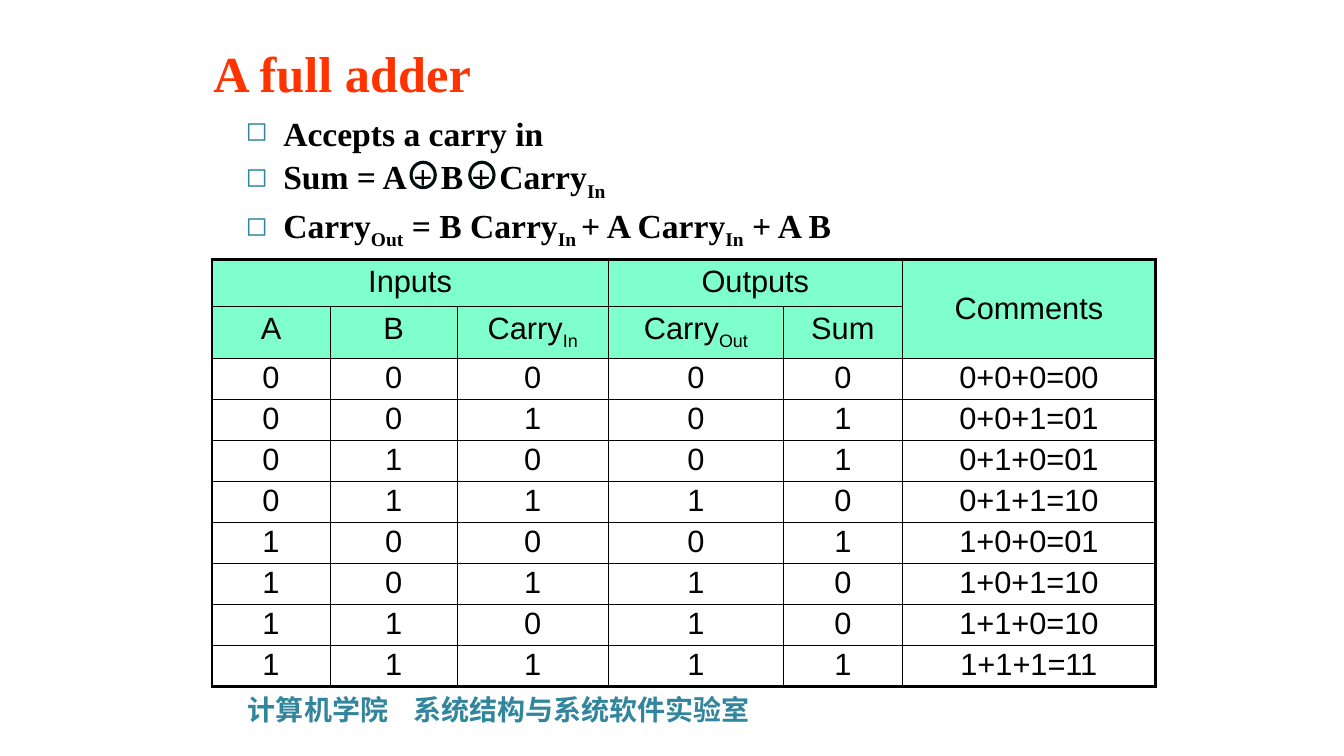
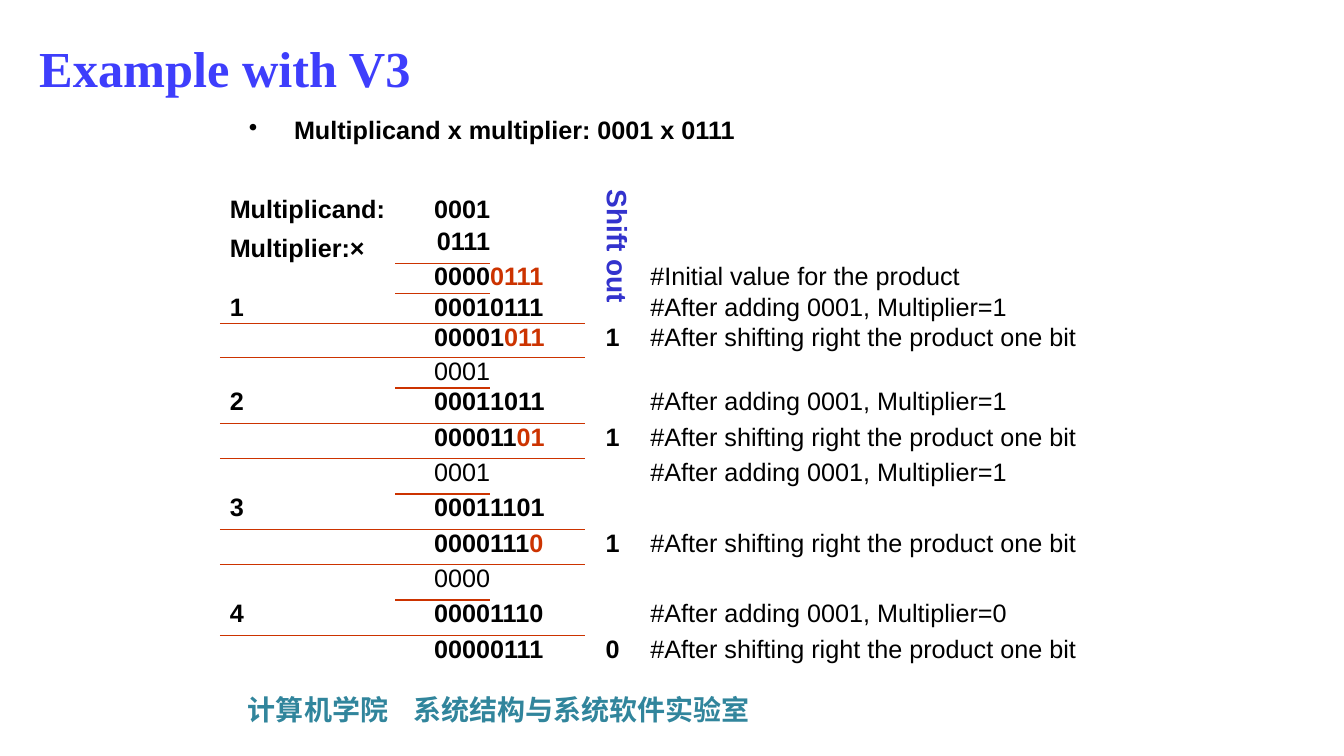
import pptx
import pptx.util
import pptx.dml.color
import pptx.enum.shapes
import pptx.enum.text
import pptx.oxml
import pptx.oxml.ns
from lxml import etree

Cm, Pt = pptx.util.Cm, pptx.util.Pt
qn = pptx.oxml.ns.qn
MID = pptx.enum.text.MSO_ANCHOR.MIDDLE
TOP = pptx.enum.text.MSO_ANCHOR.TOP
LOW = pptx.enum.text.MSO_ANCHOR.BOTTOM
ALIGN = pptx.enum.text.PP_ALIGN
SERIF, SANS, HAN = "Times New Roman", "Arial", "Noto Sans CJK SC"
BLACK, TEAL, RUST = "000000", "31859C", "CC3300"
PLAIN = "{2D5ABB26-0587-4C30-8999-92F81FD0307C}"


def hue(code):
    return pptx.dml.color.RGBColor.from_string(code)


def write(frame, text, size=18, color=BLACK, face=SANS, bold=False,
          align=ALIGN.LEFT, alt=None, mark=None, tint=BLACK, scale=100,
          hang=0, gap=0, line=None, tab=None):
    """Fill a frame; newlines part paragraphs, bars enclose the alt style."""
    alt = alt or {}
    for i, part in enumerate(text.split("\n")):
        para = frame.add_paragraph() if i else frame.paragraphs[0]
        para.alignment, para.space_before = align, Pt(gap)
        if line:
            para.line_spacing = line
        props = para._p.get_or_add_pPr()
        if mark:
            props.set("marL", str(Cm(hang)))
            props.set("indent", str(-Cm(hang)))
            ink = etree.SubElement(props, qn("a:buClr"))
            etree.SubElement(ink, qn("a:srgbClr"), val=tint)
            etree.SubElement(props, qn("a:buSzPct"), val=str(scale * 1000))
            etree.SubElement(props, qn("a:buChar"), char=mark)
        if tab:
            stops = etree.SubElement(props, qn("a:tabLst"))
            etree.SubElement(stops, qn("a:tab"), pos=str(Cm(tab)), algn="l")
        for n, piece in enumerate(part.split("|")):
            if not piece:
                continue
            look = alt if n % 2 else {}
            run = para.add_run()
            run.text = piece
            font = run.font
            font.size, font.bold, font.name = Pt(size), bold, face
            font.color.rgb = hue(look.get("color", color))
            etree.SubElement(font._element, qn("a:ea"), typeface=face)
            if "base" in look:
                font._element.set("baseline", str(look["base"] * 1000))


deck = pptx.Presentation()
deck.slide_width, deck.slide_height = Cm(33.87), Cm(19.05)
adder, steps = [deck.slides.add_slide(deck.slide_layouts[6]) for _ in range(2)]

SUB = dict(base=-25)
HEAD = dict(size=36, face=SERIF, bold=True)
FOOT = dict(size=20, face=HAN, color=TEAL, bold=True, tab=4.17)

# Example text, in a clear rounded panel
panel = steps.shapes.add_shape(
    pptx.enum.shapes.MSO_SHAPE.ROUNDED_RECTANGLE,
    Cm(5.51), Cm(2.34), Cm(23.29), Cm(13.97))
panel.adjustments[0] = 0.125
panel.shadow.inherit = False
panel.fill.background()
panel.line.fill.background()
panel.text_frame.vertical_anchor = TOP
write(panel.text_frame, "Multiplicand x multiplier: 0001 x 0111", bold=True,
      mark="•", hang=1.14, line=0.9)

# Text boxes: slide, place, anchor, turn, text, format
boxes = [(page, (6, 17.32, 24.54, 1.12), TOP, 0,
          "计算机学院\t系统结构与系统软件实验室", FOOT) for page in (adder, steps)]
boxes += [
    (adder, (5.13, 1.12, 21.41, 1.42), MID, 0, "A full adder",
     dict(HEAD, color="FF3300")),
    (steps, (0.74, 0.99, 23.72, 1.42), MID, 0, "Example with V3",
     dict(HEAD, color="3E3EFC")),
    (adder, (5.94, 2.72, 21.44, 3.81), TOP, 0,
     "Accepts a carry in\nSum = A + B + Carry|In|\n"
     "Carry|Out| = B Carry|In |+ A Carry|In| + A B",
     dict(size=24, face=SERIF, bold=True, alt=SUB, mark="◻", tint=TEAL,
          scale=80, hang=0.95, gap=2)),
    (steps, (13.84, 5.72, 3.48, 1.09), TOP, 90, "Shift out",
     dict(size=20, color="3333CD", bold=True)),
]
for page, place, anchor, turn, text, form in boxes:
    box = page.shapes.add_textbox(*map(Cm, place))
    box.rotation = turn
    box.text_frame.word_wrap = True
    box.text_frame.vertical_anchor = anchor
    write(box.text_frame, text, **form)

# Rings that turn each plus into an exclusive or
for left in (10.36, 11.84):
    ring = adder.shapes.add_shape(pptx.enum.shapes.MSO_SHAPE.OVAL,
                                  Cm(left), Cm(4.09), Cm(0.61), Cm(0.64))
    ring.shadow.inherit = False
    ring.fill.background()
    ring.line.color.rgb, ring.line.width = hue("001010"), Pt(2.25)

# Truth table: all eight inputs, with carry and sum worked out
truth = [["Inputs", "", "", "Outputs", "", "Comments"],
         ["A", "B", "Carry|In|", "Carry|Out|", "Sum", ""]]
for n in range(8):
    bits = f"{n:03b}"
    total = f"{bits.count('1'):02b}"
    truth.append([*bits, *total, "+".join(bits) + "=" + total])

# Multiplication: step, product halves, bit shifted out, note
ADD = "#After adding 0001, Multiplier="
SHIFT = "#After shifting right the product one bit"
work = [
    ["Multiplicand:", "0001", "", "", ""],
    ["Multiplier:×", "0111", "", "", ""],
    ["", "0000", "|0111|", "", "#Initial value for the product"],
    ["1", "0001", "0111", "", ADD + "1"],
    ["", "0000", "1|011|", "1", SHIFT],
    ["", "0001", "", "", ""],
    ["2", "0001", "1011", "", ADD + "1"],
    ["", "0000", "11|01|", "1", SHIFT],
    ["", "0001", "", "", ADD + "1"],
    ["3", "0001", "1101", "", ""],
    ["", "0000", "111|0|", "1", SHIFT],
    ["", "0000", "", "", ""],
    ["4", "0000", "1110", "", ADD + "0"],
    ["", "0000", "0111", "0", SHIFT],
]

# Both grids: slide, corner, rows, column widths, row heights
grids = []
for page, left, top, rows, wide, high in (
        (adder, 5.34, 6.53, truth, (2.98, 3.2, 3.81, 4.41, 3, 6.38),
         [1.17, 1.22] + [1.03] * 8),
        (steps, 5.54, 4.93, work, (4.42, 2.39, 2.39, 1.4, 12.5),
         [0.81, 0.89, 0.76, 0.76, 0.86, 0.76] + [0.89] * 8)):
    grid = page.shapes.add_table(len(rows), len(wide), Cm(left), Cm(top),
                                 Cm(sum(wide)), Cm(sum(high))).table
    grid.first_row = grid.horz_banding = False
    grid._tbl.tblPr.find(qn("a:tableStyleId")).text = PLAIN
    for col, size in zip(grid.columns, wide):
        col.width = Cm(size)
    for row, size in zip(grid.rows, high):
        row.height = Cm(size)
    grids.append(grid)
chart, sums = grids

# Cell text; skins collect cell, line colour, line widths, fill
skins = []
for r, row in enumerate(truth):
    for c, text in enumerate(row):
        cell = chart.cell(r, c)
        cell.margin_top = cell.margin_bottom = Cm(0.13 if r < 2 else 0.05)
        write(cell.text_frame, text, size=22, align=ALIGN.CENTER, alt=SUB)
        ends = dict(L=c == 0, R=c == 5, T=r == 0, B=r == 9)
        skins.append((cell, BLACK,
                      {k: 2.25 if end else 1 for k, end in ends.items()},
                      "00FF99" if r < 2 else None))
for first, last in (((0, 0), (0, 2)), ((0, 3), (0, 4)), ((0, 5), (1, 5))):
    chart.cell(*first).merge(chart.cell(*last))
chart.cell(0, 5).vertical_anchor = MID

short, full = (1, 5, 8, 11), (3, 6, 9, 12)
sides = {1: ALIGN.RIGHT, 3: ALIGN.CENTER}
for r, row in enumerate(work):
    for c, text in enumerate(row):
        cell = sums.cell(r, c)
        cell.margin_top = cell.margin_bottom = 0
        cell.margin_left = cell.margin_right = Cm(0 if c in (1, 2) else 0.25)
        write(cell.text_frame, text, align=sides.get(c, ALIGN.LEFT),
              bold=c < 4 and r not in short[1:], alt=dict(color=RUST))
        edges = {k: 1 for k, n in (("T", r - 1), ("B", r))
                 if c < 3 and n in full or c == 1 and n in short}
        skins.append((cell, RUST, edges, None))
sums.cell(1, 0).vertical_anchor = LOW

# Cell borders and fills
for cell, color, edges, fill in skins:
    props = cell._tc.get_or_add_tcPr()
    for side, width in edges.items():
        edge = etree.SubElement(props, qn("a:ln" + side), w=str(Pt(width)))
        solid = etree.SubElement(edge, qn("a:solidFill"))
        etree.SubElement(solid, qn("a:srgbClr"), val=color)
    if fill:
        cell.fill.solid()
        cell.fill.fore_color.rgb = hue(fill)
        ink = props.find(qn("a:solidFill")).find(qn("a:srgbClr"))
        etree.SubElement(ink, qn("a:alpha"), val="50000")
    else:
        cell.fill.background()

deck.save("out.pptx")
